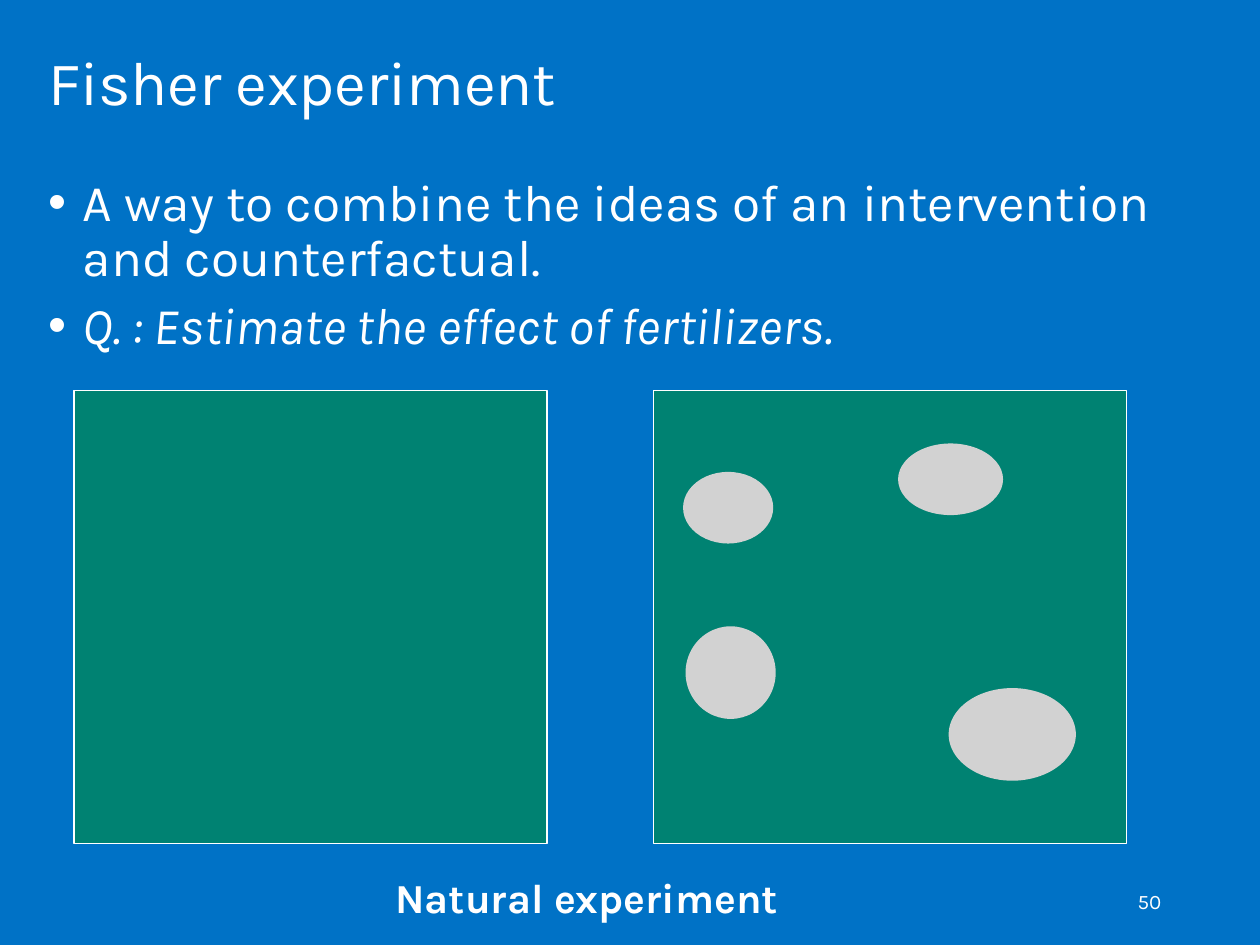
from lxml.etree import SubElement
from pptx import Presentation
from pptx.dml.color import RGBColor
from pptx.enum.shapes import MSO_SHAPE as Preset
from pptx.enum.text import MSO_ANCHOR as Anchor, PP_ALIGN as Align
from pptx.oxml.ns import qn
from pptx.util import Inches, Pt

COLORS = {
    "background": "0072C6",
    "field": "008272",
    "fertilizer": "D2D2D2",
    "text": "FFFFFF",
}
FONT = "Karla"

# The slide is a grid of square cells
CELL = Inches(0.1)
COLUMNS, ROWS = 102, 76.5


def cells(*counts):
    return [round(count * CELL) for count in counts]


def color(name):
    return RGBColor.from_string(COLORS[name])


def add_bullet(paragraph, indent):
    properties = paragraph._p.get_or_add_pPr()
    properties.set("marL", str(indent))
    properties.set("indent", str(-indent))
    SubElement(properties, qn("a:buFont"), typeface="Arial")
    SubElement(properties, qn("a:buChar"), char="•")


def add_text(slide, box, lines, size, margins=(1.6, 1), bold=False, italics=(),
             align=Align.LEFT, anchor=Anchor.TOP, line_spacing=0.9,
             space_before=0, space_after=0, bullet_indent=None, tracking=None):
    frame = slide.shapes.add_textbox(*cells(*box)).text_frame
    frame.word_wrap = True
    frame.vertical_anchor = anchor
    frame.margin_left = frame.margin_right = cells(margins[0])[0]
    frame.margin_top = frame.margin_bottom = cells(margins[1])[0]
    for number, line in enumerate(lines):
        paragraph = frame.add_paragraph() if number else frame.paragraphs[0]
        paragraph.alignment = align
        paragraph.line_spacing = line_spacing
        paragraph.space_before = Pt(space_before if number else 0)
        paragraph.space_after = Pt(space_after)
        if bullet_indent:
            add_bullet(paragraph, cells(bullet_indent)[0])
        run = paragraph.add_run()
        run.text = line
        run.font.name = FONT
        run.font.size = Pt(size)
        run.font.bold = bold
        run.font.italic = number in italics
        run.font.color.rgb = color("text")
        if tracking:
            run._r.get_or_add_rPr().set("spc", str(tracking))


def add_figure(slide, preset, box, fill, line=None):
    shape = slide.shapes.add_shape(preset, *cells(*box))
    shape.shadow.inherit = False
    shape.fill.solid()
    shape.fill.fore_color.rgb = color(fill)
    if line:
        shape.line.color.rgb = color(line)
        shape.line.width = Pt(0.75)
    else:
        shape.line.fill.background()


def add_heading(slide, left, top, width):
    # Title and bullets share one column
    add_text(slide, (left, top, width, 10), ["Fisher experiment"], 36, tracking=-10)
    add_text(slide, (left, top + 10.1, width, 16.7), [
        "A way to combine the ideas of an intervention and counterfactual.",
        "Q. : Estimate the effect of fertilizers.",
    ], 30, italics=(1,), space_before=7.2, bullet_indent=2.8)


def add_field(slide, left, top, width, height, spots=()):
    # Field, with fertilized spots placed from its top left corner
    add_figure(slide, Preset.RECTANGLE, (left, top, width, height), "field", "text")
    for across, down, spot_width, spot_height in spots:
        add_figure(slide, Preset.OVAL,
                   (left + across, top + down, spot_width, spot_height), "fertilizer")


def add_footer(slide, top):
    # Caption and slide number
    add_text(slide, (30, top, 51, 6.9), ["Natural experiment"], 24,
             margins=(2, 1.6), bold=True, space_after=6)
    add_text(slide, (72, top + 1.4, 23, 4.1), ["50"], 12, margins=(1, 0.5),
             align=Align.RIGHT, anchor=Anchor.MIDDLE, line_spacing=1)


def main():
    presentation = Presentation()
    presentation.slide_width, presentation.slide_height = cells(COLUMNS, ROWS)
    slide = presentation.slides.add_slide(presentation.slide_layouts[6])
    slide.background.fill.solid()
    slide.background.fill.fore_color.rgb = color("background")

    add_heading(slide, 2.3, 3.2, 97.5)
    spots = [
        (2.4, 6.6, 7.3, 5.8),
        (23.9, 24.1, 10.3, 7.5),
        (2.6, 19.1, 7.3, 7.5),
        (19.8, 4.3, 8.5, 5.8),
    ]
    for left, field_spots in ((6, ()), (52.9, spots)):
        add_field(slide, left, 31.6, 38.3, 36.7, field_spots)
    add_footer(slide, 69.5)

    presentation.save("out.pptx")


if __name__ == "__main__":
    main()
